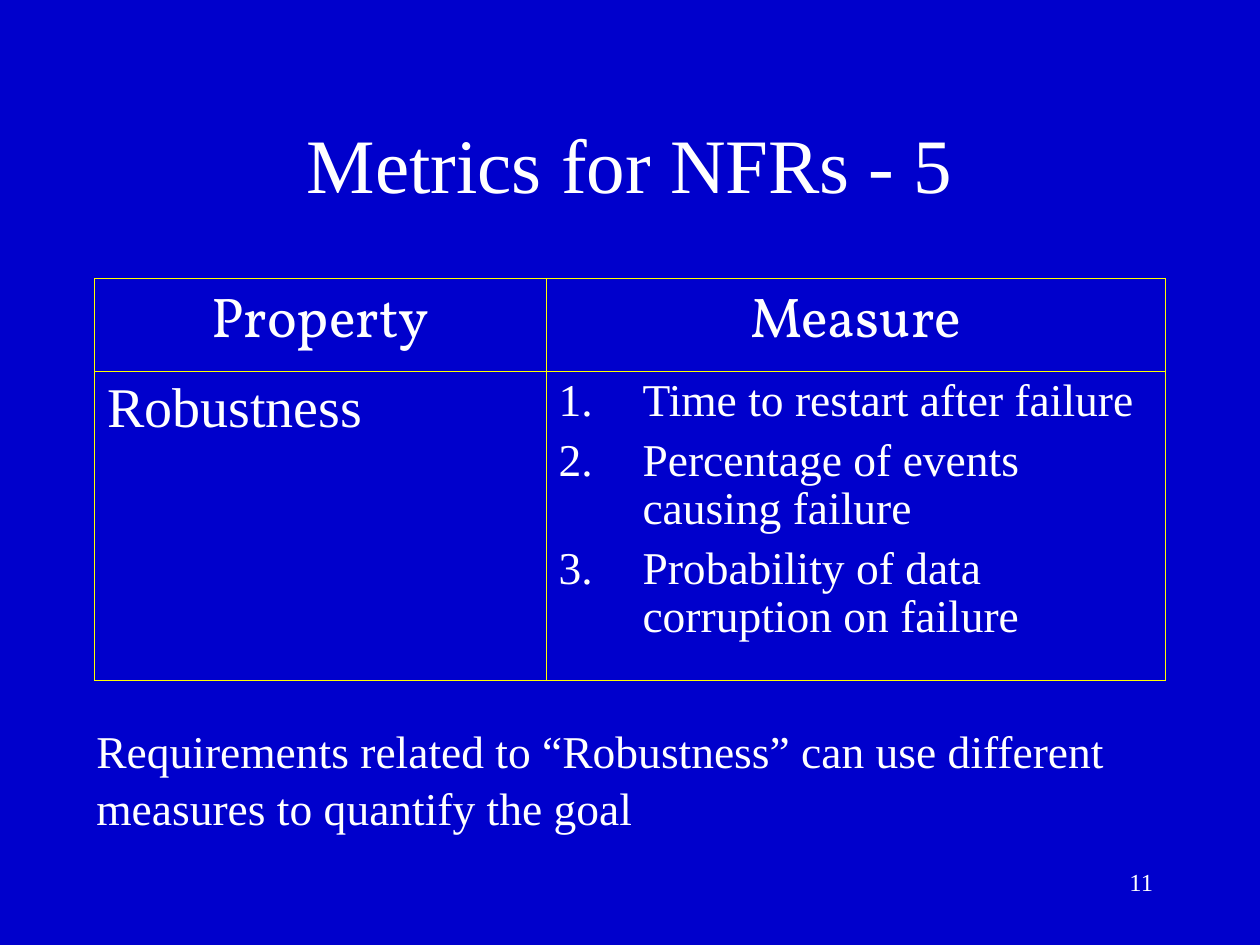
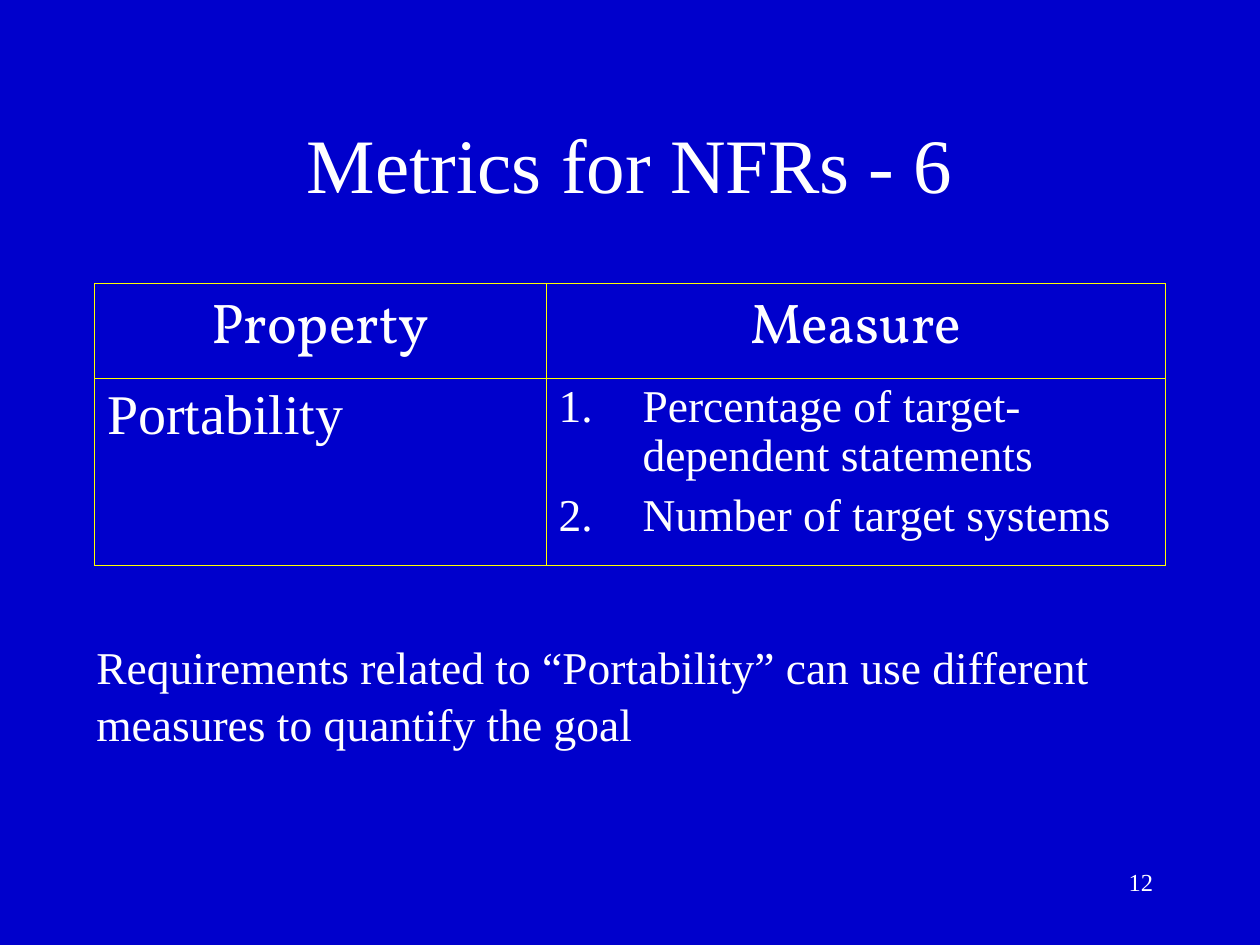
from lxml.etree import SubElement as Sub
from pptx import Presentation
from pptx.dml.color import RGBColor
from pptx.enum.text import MSO_ANCHOR as Anchor, PP_ALIGN as Align
from pptx.oxml import parse_xml
from pptx.oxml.ns import nsdecls, qn
from pptx.util import Pt

BLUE = RGBColor(0x00, 0x00, 0xCC)
WHITE = RGBColor(0xFF, 0xFF, 0xFF)
YELLOW = RGBColor(0xFF, 0xFF, 0x00)
SERIF = "Times New Roman"
HEAD = "Vollkorn"

PAGES = [
    dict(page=11, part=5, goal="Robustness", top=159, rows=(53.3, 176.4),
         note_top=408,
         steps=["Time to restart after failure",
                "Percentage of events causing failure",
                "Probability of data corruption on failure"]),
    dict(page=12, part=6, goal="Portability", top=162, rows=(54, 107.3),
         note_top=360,
         steps=["Percentage of target-dependent statements",
                "Number of target systems"]),
]


def write(frame, *lines, size=26, font=SERIF, align=Align.LEFT, space=None,
          gap=0, count=False):
    """Fill a frame with one paragraph per line, numbered if count is set."""
    frame.word_wrap = True
    for i, line in enumerate(lines):
        para = frame.paragraphs[0] if i == 0 else frame.add_paragraph()
        para.alignment = align
        para.space_before = Pt(gap if i else 0)
        if space:
            para.line_spacing = space
        run = para.add_run()
        run.text = line
        run.font.size = Pt(size)
        run.font.name = font
        run.font.bold = False
        run.font.color.rgb = WHITE
        if count:
            props = para._p.get_or_add_pPr()
            props.set("marL", str(Pt(48)))
            props.set("indent", str(-Pt(48)))
            Sub(Sub(props, qn("a:buClr")), qn("a:srgbClr"), val=str(WHITE))
            Sub(props, qn("a:buAutoNum"), type="arabicPeriod")


class Deck:
    """Holds the shared style and the current slide."""

    def __init__(self):
        self.prs = Presentation()
        self.prs.slide_width, self.prs.slide_height = Pt(720), Pt(540)
        fill = self.prs.slide_master.background.fill
        fill.solid()
        fill.fore_color.rgb = BLUE

    def start(self):
        self.slide = self.prs.slides.add_slide(self.prs.slide_layouts[6])

    def text(self, box, text, anchor=Anchor.TOP, **style):
        frame = self.slide.shapes.add_textbox(*map(Pt, box)).text_frame
        frame.vertical_anchor = anchor
        write(frame, text, **style)

    def title(self, text):
        self.text((54, 48, 612, 90), text, Anchor.MIDDLE, size=44,
                  align=Align.CENTER)

    def note(self, top, text):
        self.text((48, top, 624, 70), text, space=1.05)

    def number(self, page):
        self.text((516, 492, 150, 36), str(page), size=14, align=Align.RIGHT)

    def grid(self, top, rows, goal, steps):
        table = self.slide.shapes.add_table(
            2, 2, Pt(54), Pt(top), Pt(612), Pt(sum(rows))).table
        table.first_row = table.horz_banding = False
        for col, width in zip(table.columns, (258, 354)):
            col.width = Pt(width)
        for row, height in zip(table.rows, rows):
            row.height = Pt(height)
        for cell in table.iter_cells():
            self.frame(cell)
        for i, label in enumerate(("Property", "Measure")):
            write(table.cell(0, i).text_frame, label, size=32, font=HEAD,
                  align=Align.CENTER)
        write(table.cell(1, 0).text_frame, goal, size=32)
        write(table.cell(1, 1).text_frame, *steps, space=0.96, gap=6.5,
              count=True)

    def frame(self, cell):
        """Clear the cell's fill and draw thin lines on its four sides."""
        cell.fill.background()
        cell.margin_left = cell.margin_right = Pt(7.2)
        cell.margin_top = cell.margin_bottom = Pt(3.6)
        props = cell._tc.get_or_add_tcPr()
        for i, side in enumerate("LRTB"):
            props.insert(i, parse_xml(
                f'<a:ln{side} {nsdecls("a")} w="{Pt(0.45)}"><a:solidFill>'
                f'<a:srgbClr val="{YELLOW}"/></a:solidFill></a:ln{side}>'))


def main():
    deck = Deck()
    for page in PAGES:
        deck.start()
        deck.title(f"Metrics for NFRs - {page['part']}")
        deck.grid(page["top"], page["rows"], page["goal"], page["steps"])
        deck.note(page["note_top"],
                  f"Requirements related to “{page['goal']}” can use "
                  "different measures to quantify the goal")
        deck.number(page["page"])
    deck.prs.save("out.pptx")


if __name__ == "__main__":
    main()
